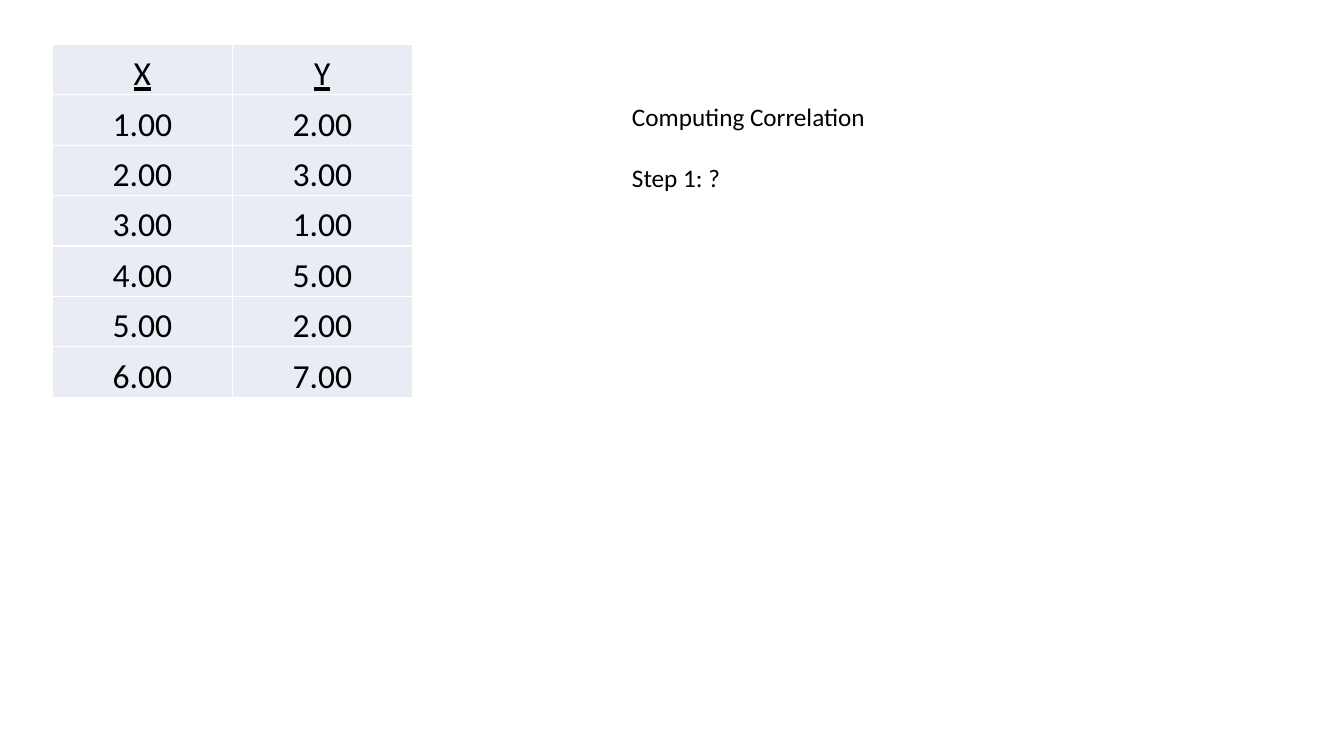
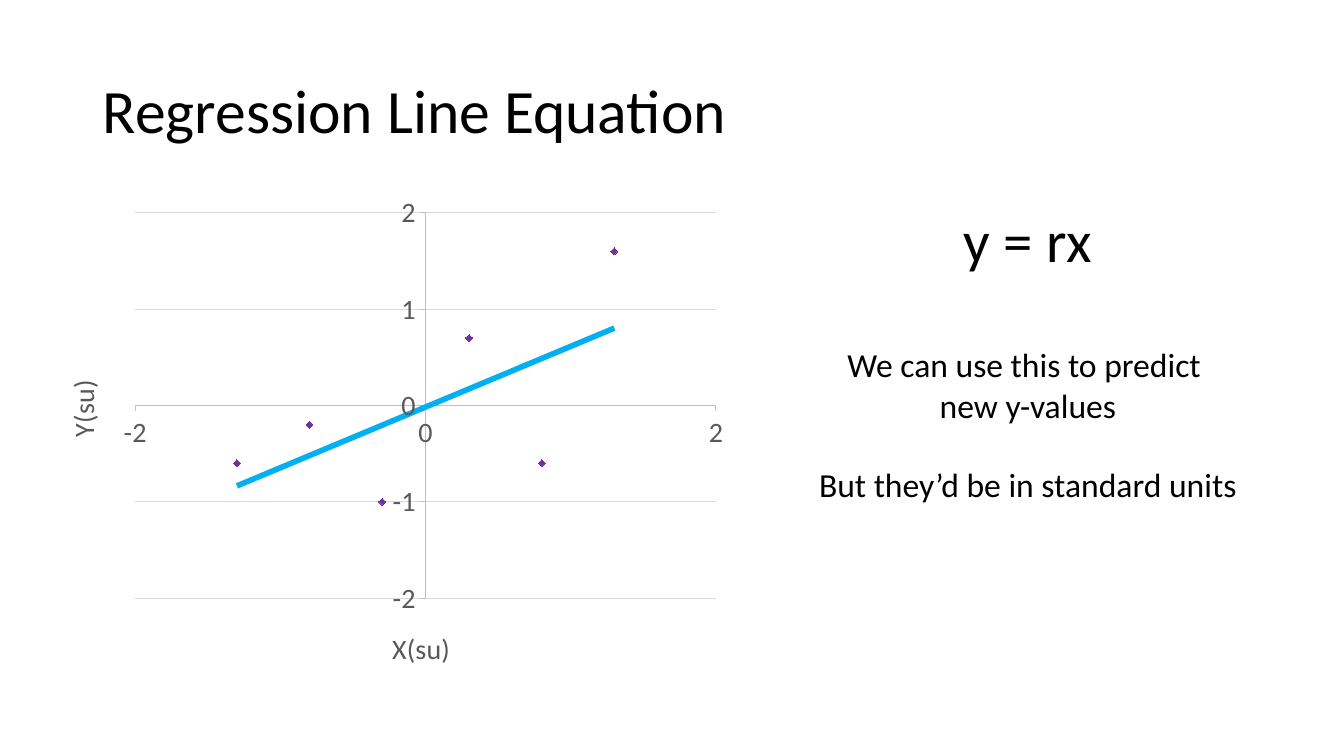
from lxml import etree
from pptx import Presentation
from pptx.chart.data import XyChartData
from pptx.dml.color import RGBColor
from pptx.enum.chart import XL_CHART_TYPE, XL_MARKER_STYLE, XL_TICK_MARK
from pptx.enum.text import MSO_ANCHOR, PP_ALIGN
from pptx.oxml import parse_xml
from pptx.oxml.ns import nsdecls, qn
from pptx.util import Pt

PX = 9144
FONT = "Calibri"
COLORS = {"text": "000000", "cell": "E9EBF5", "border": "FFFFFF", "axis": "BFBFBF",
          "grid": "D9D9D9", "label": "595959", "point": "7030A0", "trend": "00B0F0"}
LEFT, CENTER = PP_ALIGN.LEFT, PP_ALIGN.CENTER
MIDDLE, BOTTOM = MSO_ANCHOR.MIDDLE, MSO_ANCHOR.BOTTOM
SCATTER, DIAMOND = XL_CHART_TYPE.XY_SCATTER, XL_MARKER_STYLE.DIAMOND
TICK_OUT, TICK_NONE = XL_TICK_MARK.OUTSIDE, XL_TICK_MARK.NONE
TITLE_ONLY, BLANK = 5, 6

DATA = [("X", "Y"), ("1.00", "2.00"), ("2.00", "3.00"), ("3.00", "1.00"),
        ("4.00", "5.00"), ("5.00", "2.00"), ("6.00", "7.00")]
POINTS = [(-1.3, -0.6), (-0.8, -0.2), (-0.3, -1), (0.3, 0.7), (0.8, -0.6), (1.3, 1.6)]


def rgb(name):
    return RGBColor.from_string(COLORS[name])


def emu(*lengths):
    return [n * PX for n in lengths]


def set_attrs(obj, **values):
    for name, value in values.items():
        setattr(obj, name, value)


def style_font(font, size, color="text", **extra):
    set_attrs(font, name=FONT, size=Pt(size), bold=False, **extra)
    font.color.rgb = rgb(color)


def write(p, text, size, align=LEFT, before=0, **extra):
    set_attrs(p, alignment=align, space_before=Pt(before))
    r = p.add_run()
    r.text = text
    style_font(r.font, size, **extra)


def add_text(slide, box, lines, align, wrap):
    tf = slide.shapes.add_textbox(*emu(*box)).text_frame
    tf.word_wrap = wrap
    for i, (text, size, before) in enumerate(lines):
        p = tf.add_paragraph() if i else tf.paragraphs[0]
        write(p, text, size, align, before)


def add_title(slide, box, text):
    sp = slide.shapes.title
    set_attrs(sp, **dict(zip(("left", "top", "width", "height"), emu(*box))))
    tf = sp.text_frame
    set_attrs(tf, vertical_anchor=MIDDLE, word_wrap=True)
    write(tf.paragraphs[0], text, 44)
    tf.paragraphs[0].line_spacing = 0.9


def border_cell(cell):
    tc_pr = cell._tc.get_or_add_tcPr()
    for i, side in enumerate("LRTB"):
        tc_pr.insert(i, parse_xml(
            f'<a:ln{side} {nsdecls("a")} w="12700"><a:solidFill>'
            f'<a:srgbClr val="{COLORS["border"]}"/></a:solidFill></a:ln{side}>'))


def add_data_table(slide, box, rows):
    table = slide.shapes.add_table(len(rows), len(rows[0]), *emu(*box)).table
    set_attrs(table, first_row=False, horz_banding=False)
    for i, row in enumerate(rows):
        for j, text in enumerate(row):
            cell = table.cell(i, j)
            set_attrs(cell, vertical_anchor=BOTTOM, margin_bottom=0,
                      margin_left=PX, margin_right=PX, margin_top=PX)
            cell.fill.solid()
            cell.fill.fore_color.rgb = rgb("cell")
            border_cell(cell)
            write(cell.text_frame.paragraphs[0], text, 24, CENTER, underline=i == 0)


def set_layout(parent, inner=False, **fractions):
    layout = parent.find(qn("c:layout"))
    if layout is None:
        layout = etree.Element(qn("c:layout"))
        parent.insert(0, layout)
    manual = etree.SubElement(layout, qn("c:manualLayout"))
    values = {"layoutTarget": "inner"} if inner else {}
    values.update(xMode="edge", yMode="edge", **fractions)
    for name, value in values.items():
        etree.SubElement(manual, qn("c:" + name)).set("val", str(value))


def style_line(line, color, width):
    line.color.rgb = rgb(color)
    line.width = Pt(width)


def style_axis(axis, title, unit, x, y):
    set_attrs(axis, minimum_scale=-2, maximum_scale=2, major_unit=unit,
              major_tick_mark=TICK_OUT, minor_tick_mark=TICK_NONE, has_title=True)
    set_attrs(axis.tick_labels, number_format="0", number_format_is_linked=False)
    style_font(axis.tick_labels.font, 20, "label")
    style_line(axis.format.line, "axis", 0.75)
    write(axis.axis_title.text_frame.paragraphs[0], title, 20, CENTER, color="label")
    set_layout(axis.axis_title._element, x=x, y=y)


def add_trend(series):
    series._element.find(qn("c:xVal")).addprevious(parse_xml(
        f'<c:trendline {nsdecls("c", "a")}><c:spPr><a:ln w="50800"><a:solidFill>'
        f'<a:srgbClr val="{COLORS["trend"]}"/></a:solidFill></a:ln></c:spPr>'
        '<c:trendlineType val="linear"/><c:dispRSqr val="0"/><c:dispEq val="0"/>'
        '</c:trendline>'))


def add_scatter(slide, box, points):
    data = XyChartData()
    points_series = data.add_series("Series 1")
    for x, y in points:
        points_series.add_data_point(x, y)
    chart = slide.shapes.add_chart(SCATTER, *emu(*box), data).chart
    set_attrs(chart, has_legend=False, has_title=False)
    style_font(chart.font, 20)
    style_axis(chart.category_axis, "X(su)", 2, 0.5, 0.86)
    style_axis(chart.value_axis, "Y(su)", 1, 0.03, 0.37)
    chart.category_axis.has_major_gridlines = False
    style_line(chart.value_axis.major_gridlines.format.line, "grid", 0.75)
    plot = chart.plots[0]
    plot.vary_by_categories = False
    set_layout(plot._element.getparent(), inner=True, x=0.14, y=0.05, w=0.83, h=0.76)
    series = plot.series[0]
    series.format.line.fill.background()
    set_attrs(series.marker, style=DIAMOND, size=5)
    series.marker.format.fill.solid()
    series.marker.format.fill.fore_color.rgb = rgb("point")
    series.marker.format.line.fill.background()
    add_trend(series)


def correlation_slide(prs):
    slide = prs.slides.add_slide(prs.slide_layouts[BLANK])
    add_data_table(slide, (52, 44, 357, 350), DATA)
    add_text(slide, (617, 96, 254, 101),
             [("Computing Correlation", 18, 0), ("Step 1: ?", 18, 22)], LEFT, False)


def regression_slide(prs):
    slide = prs.slides.add_slide(prs.slide_layouts[TITLE_ONLY])
    add_title(slide, (92, 40, 1150, 145), "Regression Line Equation")
    add_scatter(slide, (37, 186, 694, 503), POINTS)
    add_text(slide, (746, 197, 547, 353),
             [("y = rx", 42, 0), ("We can use this to predict ", 24, 50),
              ("new y-values", 24, 0), ("But they’d be in standard units", 24, 28)],
             CENTER, True)


def main():
    prs = Presentation()
    prs.slide_width, prs.slide_height = emu(1333, 750)
    correlation_slide(prs)
    regression_slide(prs)
    prs.save("out.pptx")


if __name__ == "__main__":
    main()
